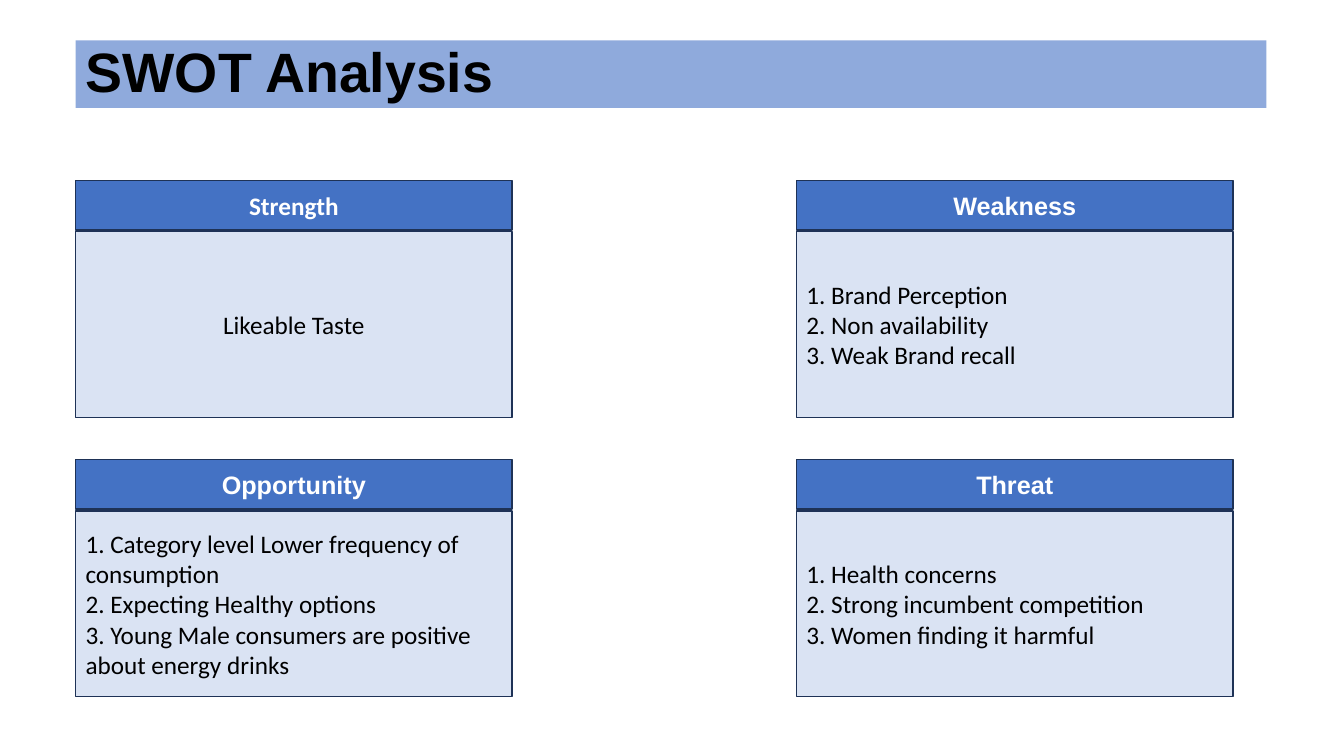
import pptx
import pptx.util
import pptx.dml.color
import pptx.enum.shapes
import pptx.enum.text

PX = 9144
ALIGN = pptx.enum.text.PP_ALIGN


def color(hex_code):
    return pptx.dml.color.RGBColor.from_string(hex_code)


def add_box(left, top, height, fill, lines, font_name, font_color, bold, align):
    box = slide.shapes.add_shape(
        pptx.enum.shapes.MSO_SHAPE.RECTANGLE,
        left * PX, top * PX, BOX_WIDTH * PX, height * PX)
    box.shadow.inherit = False
    box.fill.solid()
    box.fill.fore_color.rgb = color(fill)
    box.line.color.rgb = color("1E3256")
    box.line.width = pptx.util.Pt(1)
    frame = box.text_frame
    frame.word_wrap = True
    frame.vertical_anchor = pptx.enum.text.MSO_ANCHOR.MIDDLE
    frame.text = "\n".join(lines)
    for paragraph in frame.paragraphs:
        paragraph.alignment = align
        paragraph.font.name = font_name
        paragraph.font.size = pptx.util.Pt(18)
        paragraph.font.bold = bold
        paragraph.font.color.rgb = color(font_color)


presentation = pptx.Presentation()
presentation.slide_width = 1333 * PX
presentation.slide_height = 750 * PX
slide = presentation.slides.add_slide(presentation.slide_layouts[5])

title = slide.shapes.title
title.left, title.top, title.width, title.height = 75 * PX, 40 * PX, 1181 * PX, 67 * PX
title.fill.solid()
title.fill.fore_color.rgb = color("8FAADC")
title.text_frame.text = "SWOT Analysis"
title.text_frame.auto_size = pptx.enum.text.MSO_AUTO_SIZE.NONE
title.text_frame.vertical_anchor = pptx.enum.text.MSO_ANCHOR.MIDDLE
heading = title.text_frame.paragraphs[0]
heading.alignment = ALIGN.LEFT
heading.line_spacing = 0.9
heading.font.name = "Arial"
heading.font.size = pptx.util.Pt(39.6)
heading.font.bold = True
heading.font.color.rgb = color("000000")

BOX_WIDTH = 433
HEADER_HEIGHT = 49
BODY_HEIGHT = 184
BODY_OFFSET = 51
COLUMN_STEP = 715
ROW_STEP = 277

quadrants = [
    ("Strength", "Calibri", ALIGN.CENTER, ["Likeable Taste"]),
    ("Weakness", "Arial", ALIGN.LEFT, [
        "1. Brand Perception",
        "2. Non availability",
        "3. Weak Brand recall"]),
    ("Opportunity", "Arial", ALIGN.LEFT, [
        "1. Category level Lower frequency of consumption",
        "2. Expecting Healthy options",
        "3. Young Male consumers are positive about energy drinks"]),
    ("Threat", "Arial", ALIGN.LEFT, [
        "1. Health concerns",
        "2. Strong incumbent competition",
        "3. Women finding it harmful"]),
]

for index, (name, header_font, body_align, points) in enumerate(quadrants):
    row, column = divmod(index, 2)
    left = 75 + column * COLUMN_STEP
    top = 179 + row * ROW_STEP
    add_box(left, top, HEADER_HEIGHT, "4472C4", [name],
            header_font, "FFFFFF", True, ALIGN.CENTER)
    add_box(left, top + BODY_OFFSET, BODY_HEIGHT, "DAE3F3", points,
            "Calibri", "000000", False, body_align)

presentation.save("out.pptx")
